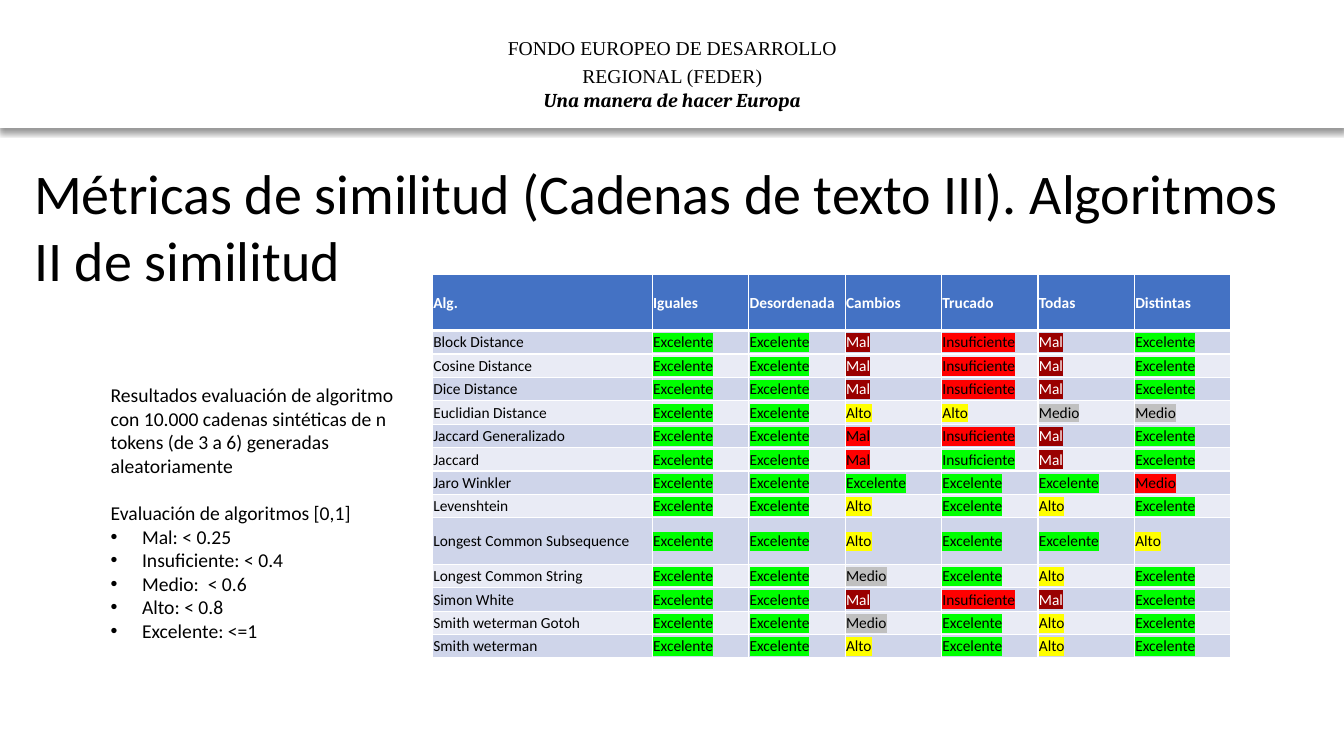
from lxml.etree import SubElement
from pptx import Presentation
from pptx.dml.color import RGBColor
from pptx.enum.shapes import MSO_SHAPE
from pptx.enum.text import MSO_ANCHOR, MSO_AUTO_SIZE, PP_ALIGN
from pptx.oxml.ns import qn
from pptx.util import Cm, Pt

FUND = "FONDO EUROPEO DE DESARROLLO REGIONAL (FEDER)"
MOTTO = "Una manera de hacer Europa"
TITLE = "Métricas de similitud (Cadenas de texto III). Algoritmos II de similitud"
INTRO = ("Resultados evaluación de algoritmo con 10.000 cadenas sintéticas de n "
         "tokens (de 3 a 6) generadas aleatoriamente")
SCALE = "Evaluación de algoritmos [0,1]"
LEVELS = ["Mal: < 0.25", "Insuficiente: < 0.4", "Medio:  < 0.6",
          "Alto: < 0.8", "Excelente: <=1"]
HEADS = ["Alg.", "Iguales", "Desordenada", "Cambios", "Trucado", "Todas", "Distintas"]
# One letter per grade; lower case marks a grade with an unusual highlight
GRADES = {
    "E": ("Excelente", "green", "black"),
    "A": ("Alto", "yellow", "black"),
    "M": ("Medio", "gray", "black"),
    "m": ("Medio", "red", "black"),
    "I": ("Insuficiente", "red", "black"),
    "i": ("Insuficiente", "green", "black"),
    "X": ("Mal", "maroon", "white"),
    "x": ("Mal", "red", "black"),
}
ROWS = [
    ("Block Distance", "EEXIXE"),
    ("Cosine Distance", "EEXIXE"),
    ("Dice Distance", "EEXIXE"),
    ("Euclidian Distance", "EEAAMM"),
    ("Jaccard Generalizado", "EExIXE"),
    ("Jaccard", "EExiXE"),
    ("Jaro Winkler", "EEEEEm"),
    ("Levenshtein", "EEAEAE"),
    ("Longest Common Subsequence", "EEAEEA"),
    ("Longest Common String", "EEMEAE"),
    ("Simon White", "EEXIXE"),
    ("Smith weterman Gotoh", "EEMEAE"),
    ("Smith weterman", "EEAEAE"),
]
THEME = {
    "black": "000000", "white": "FFFFFF", "head": "4472C4",
    "bands": ("CFD5EA", "E9EBF5"),
    "green": "00FF00", "yellow": "FFFF00", "gray": "C0C0C0",
    "red": "FF0000", "maroon": "9A0000",
    "title": 40, "body": 14, "cell": 11,
}
WIDTH, HEIGHT = 33.87, 19.05
HEAD_ROW, TALL_ROW, ROW = 1.42, 1.17, 0.59
NAME_COL, COL = 5.54, 2.43
INDENT = 0.79


def assign(item, **values):
    for name, value in values.items():
        setattr(item, name, value)


def write(para, text, size, ink="black", mark=None, **font):
    run = para.add_run()
    run.text = text
    assign(run.font, **{"name": "Calibri", "size": Pt(size), **font})
    run.font.color.rgb = RGBColor.from_string(THEME[ink])
    if mark:
        props = run._r.get_or_add_rPr()
        light = SubElement(props, qn("a:highlight"))
        SubElement(light, qn("a:srgbClr"), val=THEME[mark])
        props.find(qn("a:solidFill")).addnext(light)


def add_box(slide, *area):
    frame = slide.shapes.add_textbox(*map(Cm, area)).text_frame
    assign(frame, word_wrap=True, auto_size=MSO_AUTO_SIZE.SHAPE_TO_FIT_TEXT)
    return frame


def add_band(slide):
    """Add the white strip at the top with its shadow."""
    band = slide.shapes.add_shape(MSO_SHAPE.RECTANGLE, 0, 0, Cm(WIDTH), Cm(3.2))
    white = RGBColor.from_string(THEME["white"])
    band.fill.solid()
    band.fill.fore_color.rgb = white
    band.line.color.rgb = white
    band.line.width = Pt(1)
    band.shadow.inherit = False
    effects = band._element.spPr.find(qn("a:effectLst"))
    shade = SubElement(effects, qn("a:outerShdw"), blurRad=str(Pt(4)),
                       dist=str(Pt(3)), dir="5400000", algn="t", rotWithShape="0")
    color = SubElement(shade, qn("a:srgbClr"), val=THEME["black"])
    SubElement(color, qn("a:alpha"), val="40000")

    frame = add_box(slide, 11.33, 0.66, 11.23, 2.29)
    fund, motto = frame.paragraphs[0], frame.add_paragraph()
    assign(fund, alignment=PP_ALIGN.CENTER, line_spacing=1.2)
    motto.alignment = PP_ALIGN.CENTER
    write(fund, FUND, THEME["body"], name="Times New Roman")
    write(motto, MOTTO, THEME["body"], name="Cambria", bold=True, italic=True)


def add_notes(slide):
    """Add the text on the left with the bulleted scale."""
    frame = add_box(slide, 2.54, 9.53, 8, 8.13)
    write(frame.paragraphs[0], INTRO, THEME["body"])
    scale = frame.add_paragraph()
    scale.space_before = Pt(17)
    write(scale, SCALE, THEME["body"])
    for level in LEVELS:
        para = frame.add_paragraph()
        props = para._p.get_or_add_pPr()
        props.set("marL", str(Cm(INDENT)))
        props.set("indent", str(-Cm(INDENT)))
        SubElement(props, qn("a:buFont"), typeface="Arial")
        SubElement(props, qn("a:buChar"), char="•")
        write(para, level, THEME["body"])


def dress(cell, fill, top, bottom):
    """Set margins, fill and white borders of a cell."""
    assign(cell, margin_left=Cm(0.02), margin_right=Cm(0.02), margin_top=Cm(0.02),
           margin_bottom=0, vertical_anchor=MSO_ANCHOR.MIDDLE)
    props = cell._tc.get_or_add_tcPr()
    for side, width in (("L", 1), ("R", 1), ("T", top), ("B", bottom)):
        line = SubElement(props, qn("a:ln" + side), w=str(Pt(width)))
        paint = SubElement(line, qn("a:solidFill"))
        SubElement(paint, qn("a:srgbClr"), val=THEME["white"])
    cell.fill.solid()
    cell.fill.fore_color.rgb = RGBColor.from_string(fill)


def add_grid(slide):
    """Add the table of grades."""
    highs = [HEAD_ROW] + [TALL_ROW if "Subsequence" in name else ROW
                          for name, _ in ROWS]
    wides = [NAME_COL] + [COL] * (len(HEADS) - 1)
    grid = slide.shapes.add_table(len(highs), len(wides), Cm(10.9), Cm(6.91),
                                  Cm(sum(wides)), Cm(sum(highs))).table
    for row, high in zip(grid.rows, highs):
        row.height = Cm(high)
    for col, wide in zip(grid.columns, wides):
        col.width = Cm(wide)

    size = THEME["cell"]
    for cell, head in zip(grid.rows[0].cells, HEADS):
        dress(cell, THEME["head"], 1, 3)
        write(cell.text_frame.paragraphs[0], head, size, "white", bold=True)
    for at, (name, codes) in enumerate(ROWS):
        items = [(name, None, "black")] + [GRADES[code] for code in codes]
        for cell, (text, mark, ink) in zip(grid.rows[at + 1].cells, items):
            dress(cell, THEME["bands"][at % 2], 1 if at else 3, 1)
            write(cell.text_frame.paragraphs[0], text, size, ink, mark, bold=False)


def main():
    deck = Presentation()
    assign(deck, slide_width=Cm(WIDTH), slide_height=Cm(HEIGHT))
    slide = deck.slides.add_slide(deck.slide_layouts[6])
    add_band(slide)
    title = add_box(slide, 0.61, 3.86, 32.66, 3.68)
    write(title.paragraphs[0], TITLE, THEME["title"])
    add_grid(slide)
    add_notes(slide)
    deck.save("out.pptx")


if __name__ == "__main__":
    main()
